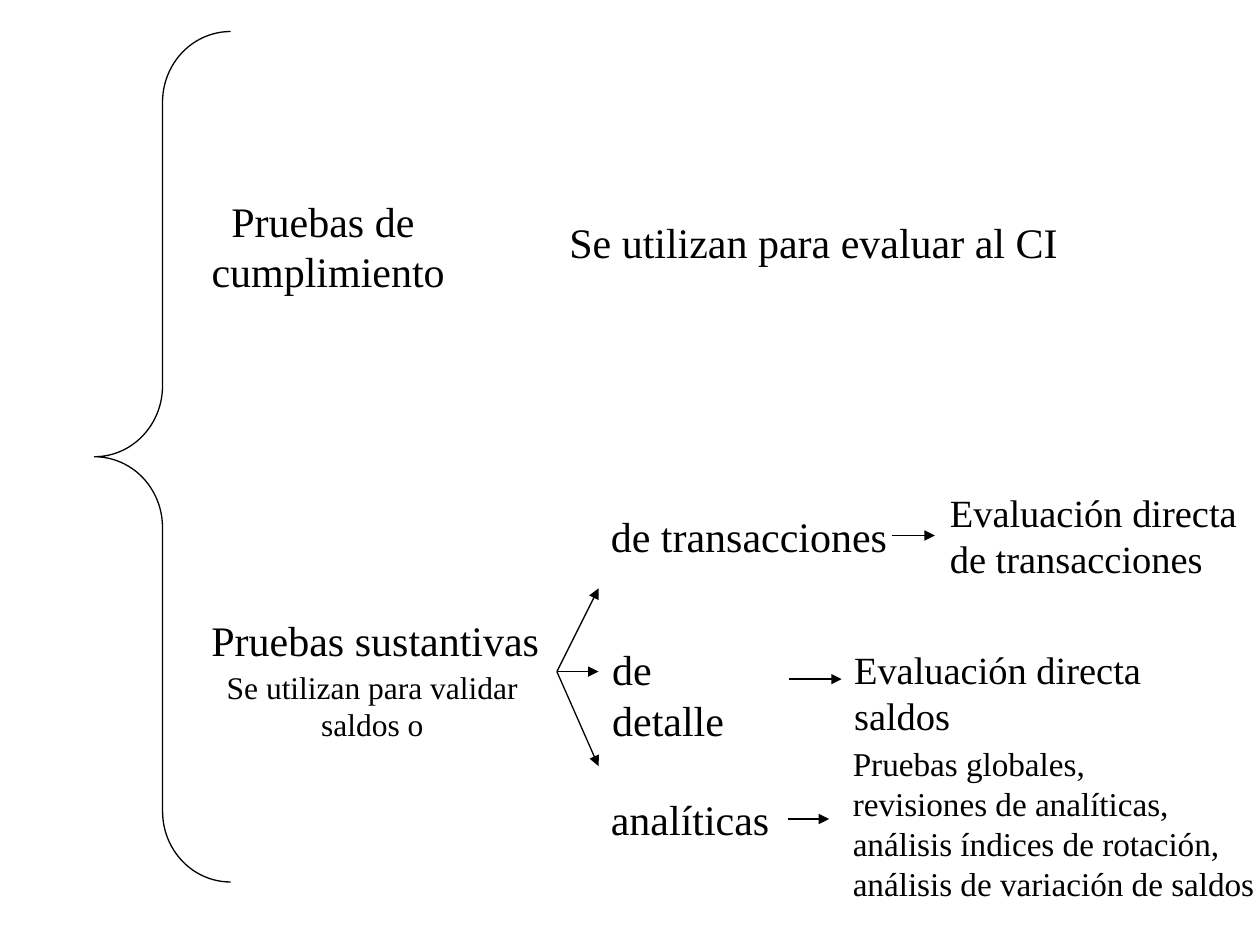
from lxml import etree
from pptx import Presentation
from pptx.dml.color import RGBColor
from pptx.enum.shapes import MSO_CONNECTOR as CONN, MSO_SHAPE as SHAPE
from pptx.enum.text import MSO_AUTO_SIZE as FIT, PP_ALIGN as ALIGN
from pptx.oxml.ns import qn
from pptx.util import Inches, Pt

INK = "000000"
FONT = "Times New Roman"
LINE_WIDTH = 0.75

BRACE = (0.75, 0.25, 1.08, 6.75)

# left, top, width, height, size, alignment, lines
LABELS = [
    (1.58, 1.5, 2.05, 0.9, 24, ALIGN.CENTER, ["Pruebas de ", "cumplimiento"]),
    (4.42, 1.67, 4.08, 0.5, 24, ALIGN.LEFT, ["Se utilizan para evaluar al CI"]),
    (1.58, 4.83, 2.8, 0.5, 24, ALIGN.LEFT, ["Pruebas sustantivas"]),
    (1.67, 5.25, 2.57, 0.7, 18, ALIGN.CENTER, ["Se utilizan para validar ", "saldos o"]),
    (4.75, 4, 2.39, 0.5, 24, ALIGN.LEFT, ["de transacciones"]),
    (4.76, 5.06, 1.48, 0.5, 24, ALIGN.LEFT, ["de detalle"]),
    (4.75, 6.25, 1.46, 0.5, 24, ALIGN.LEFT, ["analíticas"]),
    (7.44, 3.83, 2.55, 0.84, 22, ALIGN.LEFT, ["Evaluación directa", "de transacciones"]),
    (6.68, 5.08, 3.31, 0.47, 22, ALIGN.LEFT, ["Evaluación directa saldos"]),
    (6.67, 5.85, 3.46, 1.39, 19, ALIGN.LEFT,
     ["Pruebas globales,", "revisiones de analíticas,",
      "análisis índices de rotación,", "análisis de variación de saldos "]),
]

# Fan from "Pruebas sustantivas" to its three kinds
FAN_START = (4.42, 5.33)
FAN_X = 4.75
FAN_YS = [4.67, 5.33, 6.08]

# x1, x2, y of the arrows from each kind to its explanation
LEVEL_ARROWS = [(7.08, 7.42, 4.25), (6.26, 6.68, 5.39), (6.25, 6.58, 6.5)]


def color(value):
    return RGBColor.from_string(value)


def style_line(line):
    line.color.rgb = color(INK)
    line.width = Pt(LINE_WIDTH)


def add_label(s, left, top, width, height, size, align, lines):
    tf = s.shapes.add_textbox(*map(Inches, (left, top, width, height))).text_frame
    for name, value in {"word_wrap": False, "auto_size": FIT.SHAPE_TO_FIT_TEXT}.items():
        setattr(tf, name, value)
    for i, text in enumerate(lines):
        p = tf.add_paragraph() if i else tf.paragraphs[0]
        p.alignment = align
        r = p.add_run()
        r.text = text
        for name, value in {"name": FONT, "size": Pt(size)}.items():
            setattr(r.font, name, value)
        r.font.color.rgb = color(INK)


def add_arrow(s, x1, y1, x2, y2):
    arrow = s.shapes.add_connector(CONN.STRAIGHT, *map(Inches, (x1, y1, x2, y2)))
    style_line(arrow.line)
    etree.SubElement(arrow.line._get_or_add_ln(), qn("a:tailEnd"), type="triangle")
    etree.SubElement(arrow._element.spPr, qn("a:effectLst"))


prs = Presentation()
prs.slide_width, prs.slide_height = Inches(10), Inches(7.5)
s = prs.slides.add_slide(prs.slide_layouts[6])

# Brace
brace = s.shapes.add_shape(SHAPE.LEFT_BRACE, *map(Inches, BRACE))
brace.adjustments[0] = 0.52
brace.shadow.inherit = False
brace.fill.background()
style_line(brace.line)

# Labels
for label in LABELS:
    add_label(s, *label)

# Arrows
for y in FAN_YS:
    add_arrow(s, *FAN_START, FAN_X, y)
for x1, x2, y in LEVEL_ARROWS:
    add_arrow(s, x1, y, x2, y)

prs.save("out.pptx")
